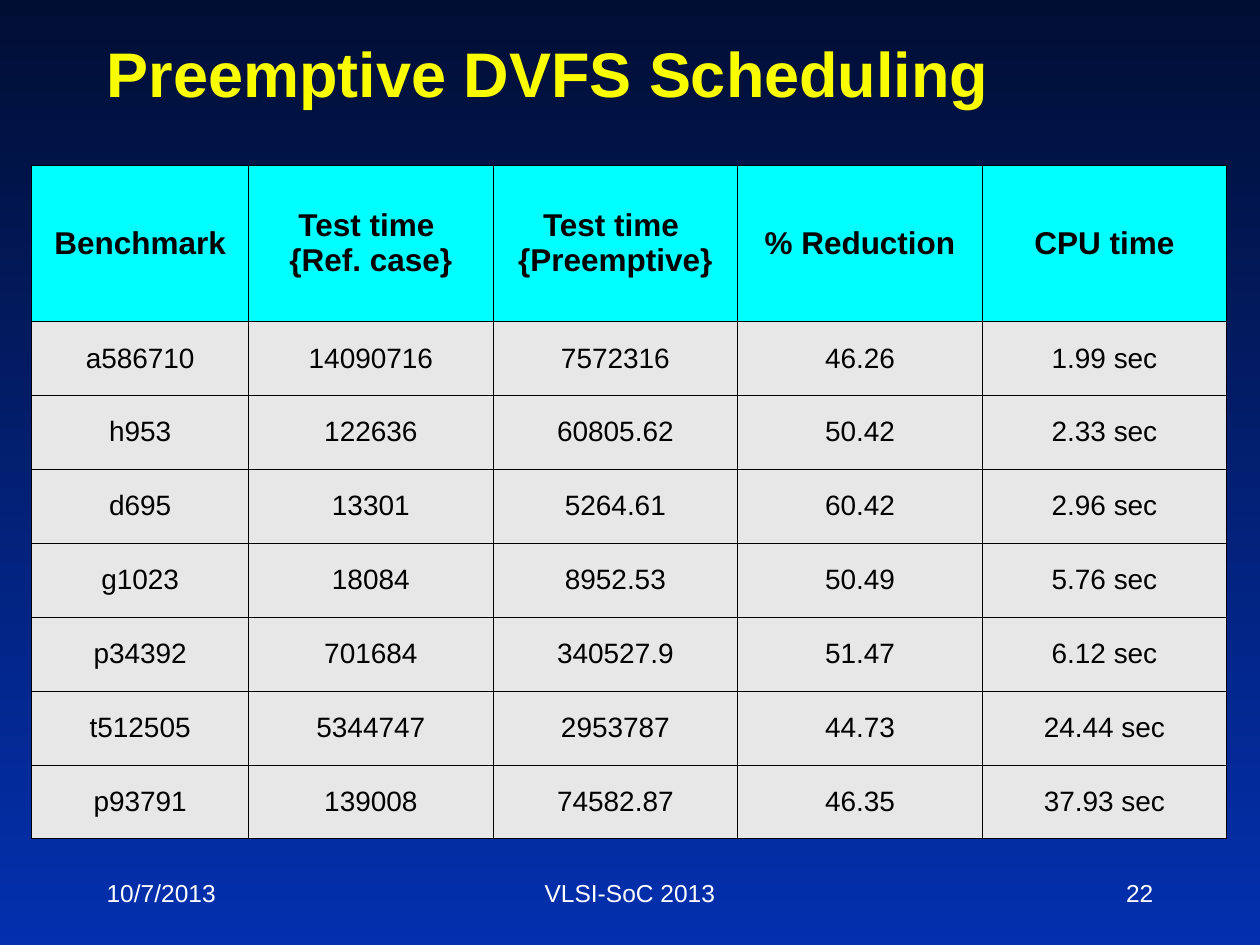
from lxml import etree
from pptx import Presentation
from pptx import util as u
from pptx.dml.color import RGBColor
from pptx.enum import text
from pptx.oxml import ns

COLORS = {
    "top": "010E34",
    "bottom": "0330AF",
    "title": "FAFD00",
    "footer": "FFFFFF",
    "header": "00FFFF",
    "body": "E7E7E7",
    "ink": "000000",
}
ALIGN = text.PP_ALIGN


def format_text(text_frame, size, color, align, bold=False):
    for paragraph in text_frame.paragraphs:
        paragraph.alignment = align
        for run in paragraph.runs:
            run.font.name = "Arial"
            run.font.size = u.Pt(size)
            run.font.bold = bold
            run.font.color.rgb = RGBColor.from_string(COLORS[color])


def add_borders(cell):
    properties = cell._tc.get_or_add_tcPr()
    for side in ("a:lnL", "a:lnR", "a:lnT", "a:lnB"):
        line = etree.SubElement(properties, ns.qn(side), w=str(u.Pt(0.45)))
        fill = etree.SubElement(line, ns.qn("a:solidFill"))
        etree.SubElement(fill, ns.qn("a:srgbClr"), val=COLORS["ink"])


presentation = Presentation()
presentation.slide_width = u.Cm(25.4)
presentation.slide_height = u.Cm(19.05)
slide = presentation.slides.add_slide(presentation.slide_layouts[5])

# Background gradient, top to bottom
background = slide.background.fill
background.gradient()
background.gradient_angle = 270
for stop, position, name in zip(background.gradient_stops, (0, 1), ("top", "bottom")):
    stop.position = position
    stop.color.rgb = RGBColor.from_string(COLORS[name])

# Title
title = slide.shapes.title
title.left, title.top = u.Cm(1.9), u.Cm(0.64)
title.width, title.height = u.Cm(21.6), u.Cm(1.7)
title.text_frame.text = "Preemptive DVFS Scheduling"
title.text_frame.auto_size = text.MSO_AUTO_SIZE.NONE
title.text_frame.vertical_anchor = text.MSO_ANCHOR.BOTTOM
format_text(title.text_frame, 36, "title", ALIGN.LEFT, bold=True)

# Date, conference and slide number
footers = [
    ("10/7/2013", 1.9, 5.29, ALIGN.LEFT),
    ("VLSI-SoC 2013", 8.68, 8.04, ALIGN.CENTER),
    ("22", 18.21, 5.29, ALIGN.RIGHT),
]
for wording, left, width, align in footers:
    footer = slide.shapes.add_textbox(u.Cm(left), u.Cm(17.36), u.Cm(width), u.Cm(1.27))
    footer.text_frame.word_wrap = True
    footer.text_frame.vertical_anchor = text.MSO_ANCHOR.MIDDLE
    footer.text_frame.text = wording
    format_text(footer.text_frame, 14, "footer", align)

# Benchmark results
results = [
    ("Benchmark", "Test time \n{Ref. case}", "Test time \n{Preemptive}", "% Reduction", "CPU time"),
    ("a586710", "14090716", "7572316", "46.26", "1.99 sec"),
    ("h953", "122636", "60805.62", "50.42", "2.33 sec"),
    ("d695", "13301", "5264.61", "60.42", "2.96 sec"),
    ("g1023", "18084", "8952.53", "50.49", "5.76 sec"),
    ("p34392", "701684", "340527.9", "51.47", "6.12 sec"),
    ("t512505", "5344747", "2953787", "44.73", "24.44 sec"),
    ("p93791", "139008", "74582.87", "46.35", "37.93 sec"),
]
column_widths = [4.37] + [4.93] * 4
row_heights = [3.15] + [1.49] * 7
table = slide.shapes.add_table(
    len(row_heights), len(column_widths), u.Cm(0.64), u.Cm(3.33),
    u.Cm(sum(column_widths)), u.Cm(sum(row_heights)),
).table
table.horz_banding = False
for column, width in zip(table.columns, column_widths):
    column.width = u.Cm(width)

for row_index, (row, height, values) in enumerate(zip(table.rows, row_heights, results)):
    row.height = u.Cm(height)
    is_header = row_index == 0
    for cell, value in zip(row.cells, values):
        cell.text_frame.text = value
        cell.vertical_anchor = text.MSO_ANCHOR.MIDDLE
        add_borders(cell)
        cell.fill.solid()
        cell.fill.fore_color.rgb = RGBColor.from_string(COLORS["header" if is_header else "body"])
        format_text(cell.text_frame, 18 if is_header else 16, "ink", ALIGN.CENTER, bold=is_header)

presentation.save("out.pptx")
